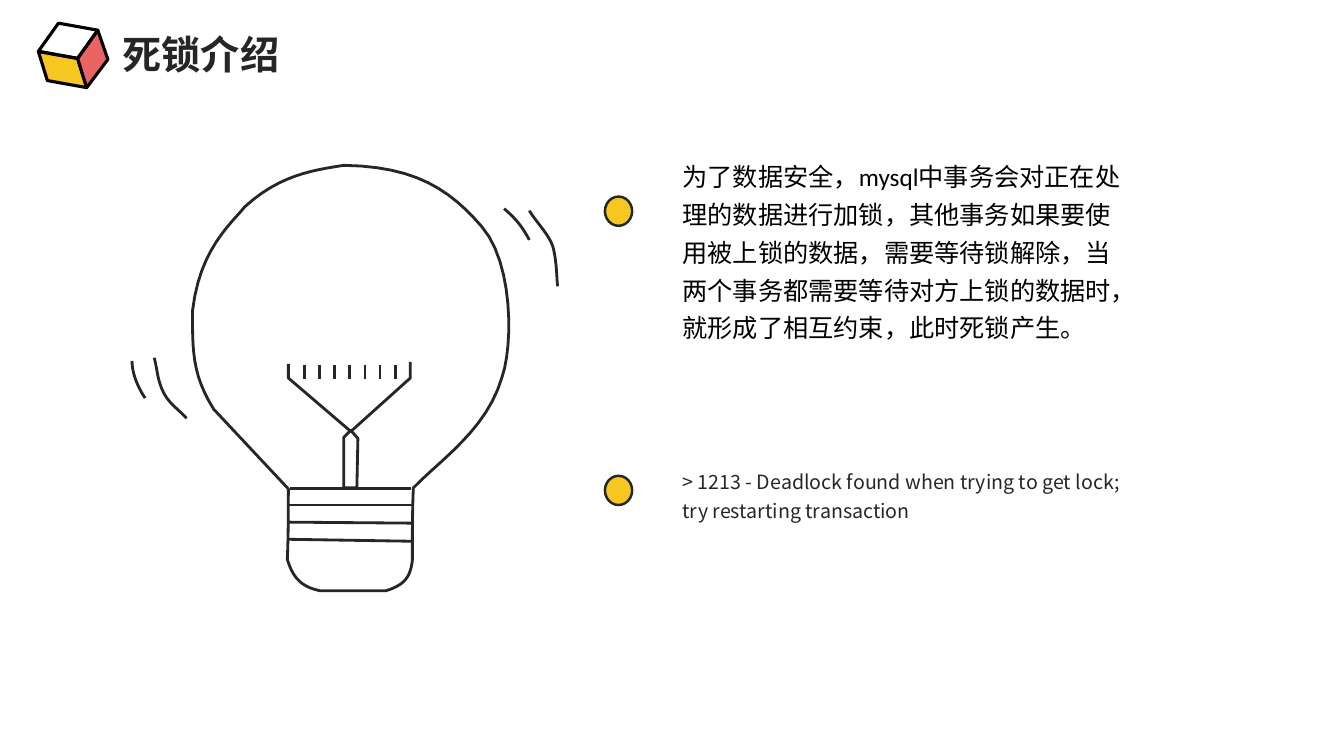
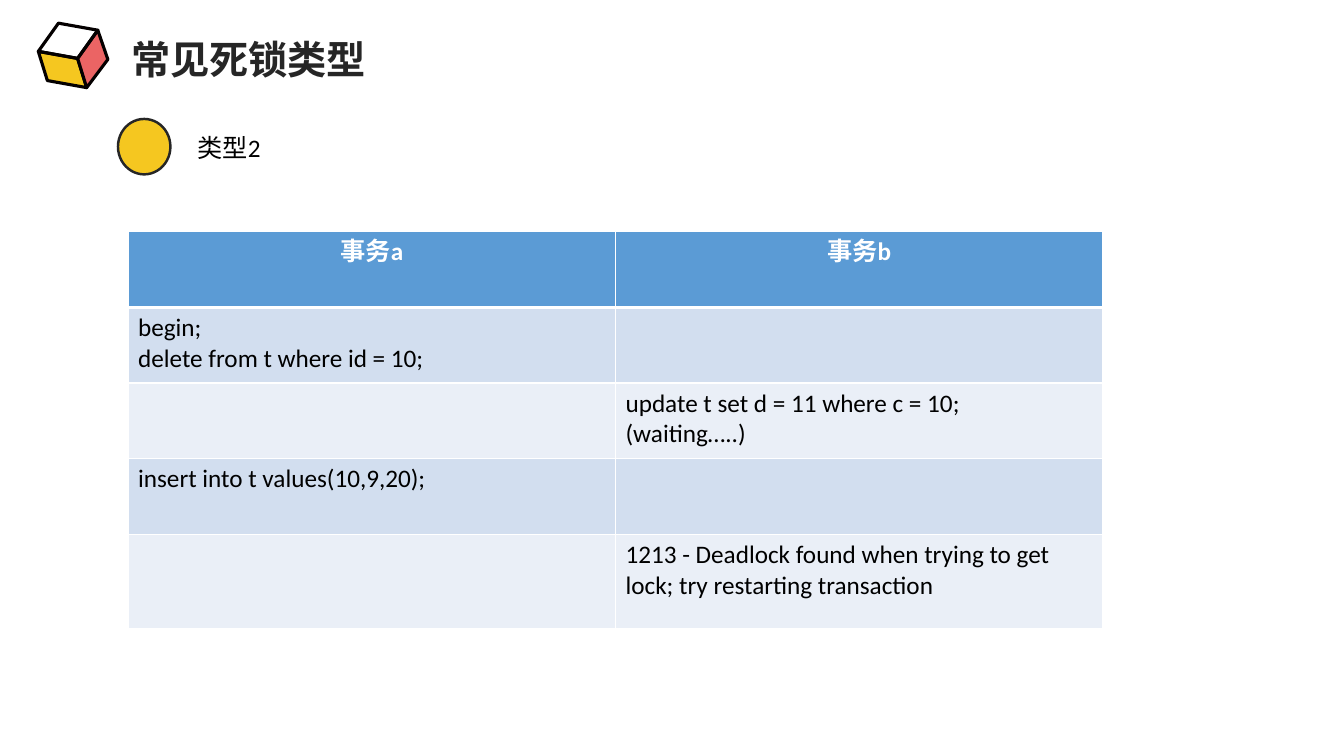
from lxml.etree import SubElement
from pptx import Presentation
from pptx.dml.color import RGBColor
from pptx.enum.shapes import MSO_CONNECTOR, MSO_SHAPE
from pptx.enum.text import MSO_ANCHOR, MSO_AUTO_SIZE, PP_ALIGN
from pptx.oxml.ns import qn
from pptx.util import Emu, Pt

EMU_PER_PX = 9144  # 100 px to the inch
TITLE_ONLY_LAYOUT = 5
CURVE_STEPS = 12

INK, BLACK, WHITE = "262626", "000000", "FFFFFF"
YELLOW, RED, CUBE_EDGE = "F5C720", "EB6464", "040000"
HEADER_FILL, BAND_FILLS = "5B9BD5", ("D2DEEF", "EAEFF7")
TITLE_FONT, QUOTE_FONT, BODY_FONT = "Noto Sans CJK JP", "Noto Sans CJK SC", "Calibri"

# In an outline, two numbers are a line's end; six are a curve's two handles and end.
CUBE_FACES = [
    ([(38, 51), (47, 80), (86, 87), (77, 58)], YELLOW),
    ([(97, 30), (77, 58), (86, 87), (107, 59)], RED),
    ([(38, 51), (58, 23), (97, 30), (77, 58)], None),
]
BULB_GLASS = [
    (286, 485), (212, 406), (190, 371, 191, 346, 191, 308),
    (198, 248, 228, 223, 243, 205), (277, 174, 309, 169, 341, 164),
    (413, 165, 447, 189, 478, 225), (509, 261, 509, 342, 498, 374),
    (483, 426, 437, 456, 410, 484), (409, 508, 409, 532, 409, 556),
    (407, 572, 402, 580, 383, 586), (317, 586),
    (305, 583, 292, 579, 285, 555), (286, 531, 286, 508, 286, 485),
]
FILAMENT = [(286, 361), (286, 375), (348, 428), (407, 375), (407, 359)]
STEM = [(348, 427), (341, 434), (341, 484), (354, 484), (355, 435)]
SCREW_THREADS = [
    (288, 485, 408, 485), (287, 501, 410, 501),
    (286, 518, 408, 519), (286, 535, 409, 537),
]
GLOW_MARKS = [
    [(500, 207), (514, 219, 519, 227, 525, 238)],
    [(525, 209), (533, 222, 546, 234, 549, 247), (552, 260, 552, 272, 553, 284)],
    [(131, 358), (131, 372, 138, 386, 144, 395)],
    [(153, 355), (156, 366, 156, 377, 162, 389), (168, 401, 177, 406, 185, 415)],
]
TRANSACTION_ROWS = [
    ("事务a", "事务b"),
    ("begin;\ndelete from t where id = 10;", ""),
    ("", "update t set d = 11 where c = 10;\n(waiting…..)"),
    ("insert into t values(10,9,20);", ""),
    ("", "1213 - Deadlock found when trying to get lock; try restarting transaction"),
]


def px(value):
    return Emu(round(value * EMU_PER_PX))


def color(hex_string):
    return RGBColor.from_string(hex_string)


def write_text(frame, text, *, size=18, font=BODY_FONT, ink=BLACK, bold=False,
               align=PP_ALIGN.LEFT, line_spacing=None):
    """Write one paragraph for each line of text."""
    for index, line in enumerate(text.split("\n")):
        paragraph = frame.add_paragraph() if index else frame.paragraphs[0]
        paragraph.alignment = align
        if line_spacing:
            paragraph.line_spacing = line_spacing
        run = paragraph.add_run()
        run.text = line
        run.font.size = Pt(size)
        run.font.name = font
        run.font.bold = bold
        run.font.color.rgb = color(ink)
        SubElement(run.font._element, qn("a:ea"), typeface=font)


def add_text(slide, box, text, **text_format):
    frame = slide.shapes.add_textbox(*map(px, box)).text_frame
    frame.word_wrap = True
    write_text(frame, text, **text_format)


def paint(shape, fill, line, width):
    shape.shadow.inherit = False
    if fill:
        shape.fill.solid()
        shape.fill.fore_color.rgb = color(fill)
    else:
        shape.fill.background()
    shape.line.color.rgb = color(line)
    shape.line.width = Pt(width)


def flatten(outline):
    """Turn an outline's lines and Bezier curves into a list of points."""
    points = [outline[0]]
    for segment in outline[1:]:
        if len(segment) == 2:
            points.append(segment)
            continue
        handles = [points[-1], segment[:2], segment[2:4], segment[4:]]
        for step in range(1, CURVE_STEPS + 1):
            t = step / CURVE_STEPS
            weights = ((1 - t) ** 3, 3 * t * (1 - t) ** 2, 3 * t * t * (1 - t), t ** 3)
            points.append(tuple(
                sum(weight * handle[axis] for weight, handle in zip(weights, handles))
                for axis in (0, 1)))
    return points


def add_outline(shapes, outline, fill=None, line=INK, width=2, close=False):
    points = [(px(x), px(y)) for x, y in flatten(outline)]
    builder = shapes.build_freeform(*points[0])
    builder.add_line_segments(points[1:], close=close)
    paint(builder.convert_to_shape(), fill, line, width)


def add_line(shapes, ends):
    connector = shapes.add_connector(MSO_CONNECTOR.STRAIGHT, *map(px, ends))
    connector.line.color.rgb = color(INK)
    connector.line.width = Pt(2)
    SubElement(connector._element.spPr, qn("a:effectLst"))


def add_dot(slide, box):
    dot = slide.shapes.add_shape(MSO_SHAPE.OVAL, *map(px, box))
    paint(dot, YELLOW, INK, 1.75)


def add_cube(slide):
    shapes = slide.shapes.add_group_shape().shapes
    for outline, fill in CUBE_FACES:
        add_outline(shapes, outline, fill, CUBE_EDGE, 2.25, close=True)


def add_bulb(slide):
    shapes = slide.shapes.add_group_shape().shapes
    add_outline(shapes, BULB_GLASS, close=True)
    add_outline(shapes, FILAMENT)
    add_outline(shapes, STEM, WHITE, close=True)
    for thread in SCREW_THREADS:
        add_line(shapes, thread)
    for x in range(302, 393, 15):
        add_line(shapes, (x, 362, x, 376))
    for mark in GLOW_MARKS:
        add_outline(shapes, mark)


def add_titled_slide(presentation, title, box):
    slide = presentation.slides.add_slide(presentation.slide_layouts[TITLE_ONLY_LAYOUT])
    shape = slide.shapes.title
    shape.left, shape.top, shape.width, shape.height = map(px, box)
    frame = shape.text_frame
    frame.auto_size = MSO_AUTO_SIZE.NONE
    frame.word_wrap = False
    frame.vertical_anchor = MSO_ANCHOR.MIDDLE
    write_text(frame, title, size=28, font=TITLE_FONT, ink=INK, bold=True,
               align=PP_ALIGN.RIGHT)
    add_cube(slide)
    return slide


def set_borders(cell, **widths):
    """Draw white borders; widths are points by side: L, R, T, B."""
    properties = cell._tc.get_or_add_tcPr()
    for side, width in widths.items():
        border = SubElement(properties, qn(f"a:ln{side}"), w=str(Pt(width)))
        fill = SubElement(border, qn("a:solidFill"))
        SubElement(fill, qn("a:srgbClr"), val=WHITE)


def add_transaction_table(slide, box, row_heights):
    row_count, column_count = len(TRANSACTION_ROWS), len(TRANSACTION_ROWS[0])
    table = slide.shapes.add_table(row_count, column_count, *map(px, box)).table
    table.first_row = table.horz_banding = False
    for row, height in zip(table.rows, row_heights):
        row.height = px(height)
    for row_index, texts in enumerate(TRANSACTION_ROWS):
        header = row_index == 0
        for column_index, text in enumerate(texts):
            cell = table.cell(row_index, column_index)
            set_borders(cell, L=1, R=1, T=3 if row_index == 1 else 1, B=3 if header else 1)
            cell.fill.solid()
            cell.fill.fore_color.rgb = color(
                HEADER_FILL if header else BAND_FILLS[(row_index - 1) % 2])
            if text:
                write_text(cell.text_frame, text, bold=header,
                           ink=WHITE if header else BLACK,
                           align=PP_ALIGN.CENTER if header else PP_ALIGN.LEFT)


def build_introduction(presentation):
    slide = add_titled_slide(presentation, "死锁介绍", (110, 25, 177, 57))
    add_bulb(slide)
    for top in (195, 472):
        add_dot(slide, (600, top, 27, 29))
    add_text(slide, (667, 148, 469, 196),
             "为了数据安全，mysql中事务会对正在处理的数据进行加锁，其他事务如果要使用被上锁的数据，"
             "需要等待锁解除，当两个事务都需要等待对方上锁的数据时，就形成了相互约束，此时死锁产生。",
             line_spacing=1.25)
    add_text(slide, (667, 455, 469, 66),
             "> 1213 - Deadlock found when trying to get lock; try restarting transaction",
             size=14, font=QUOTE_FONT, ink=INK, line_spacing=Pt(21))


def build_deadlock_type(presentation):
    slide = add_titled_slide(presentation, "常见死锁类型", (117, 30, 256, 57))
    add_dot(slide, (117, 118, 52, 55))
    add_text(slide, (186, 126, 616, 40), "类型2")
    add_transaction_table(slide, (127, 230, 967, 394), (75, 75, 75, 75, 94))


def main():
    presentation = Presentation()
    presentation.slide_width, presentation.slide_height = px(1333), px(750)
    build_introduction(presentation)
    build_deadlock_type(presentation)
    presentation.save("out.pptx")


if __name__ == "__main__":
    main()
